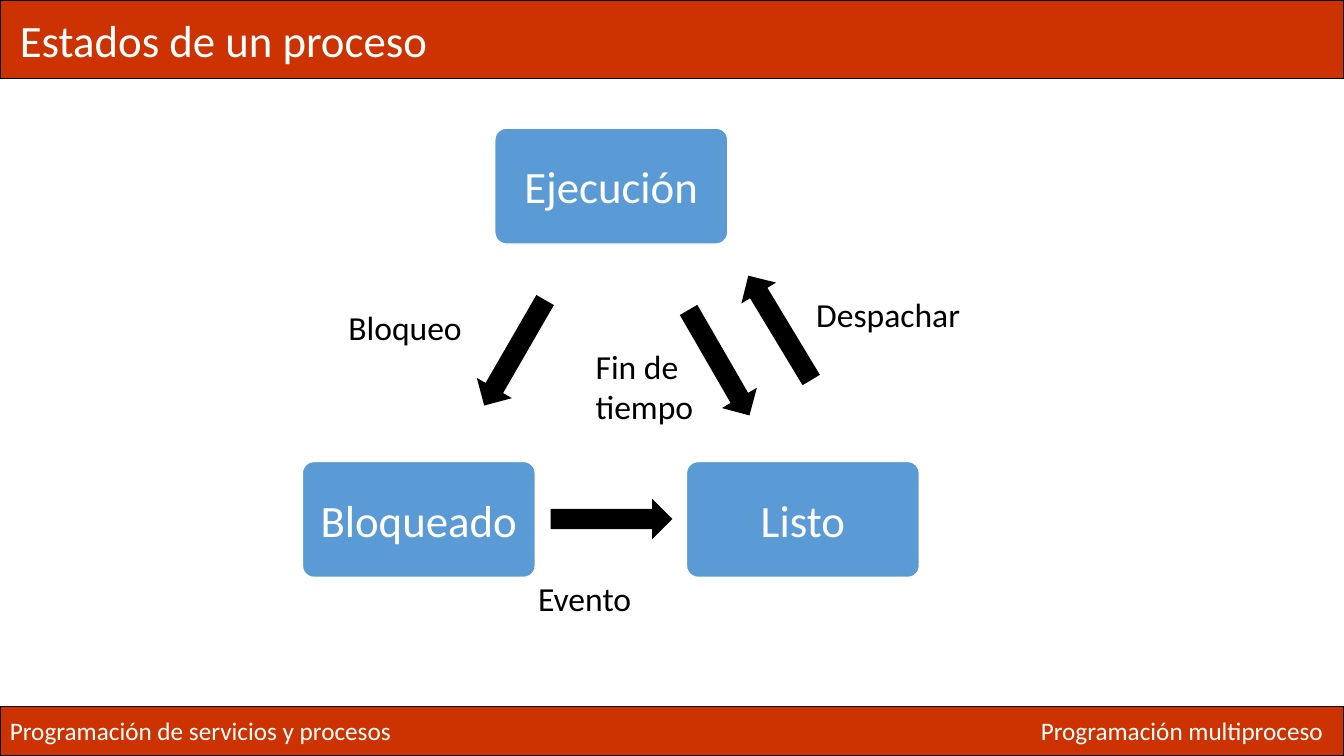
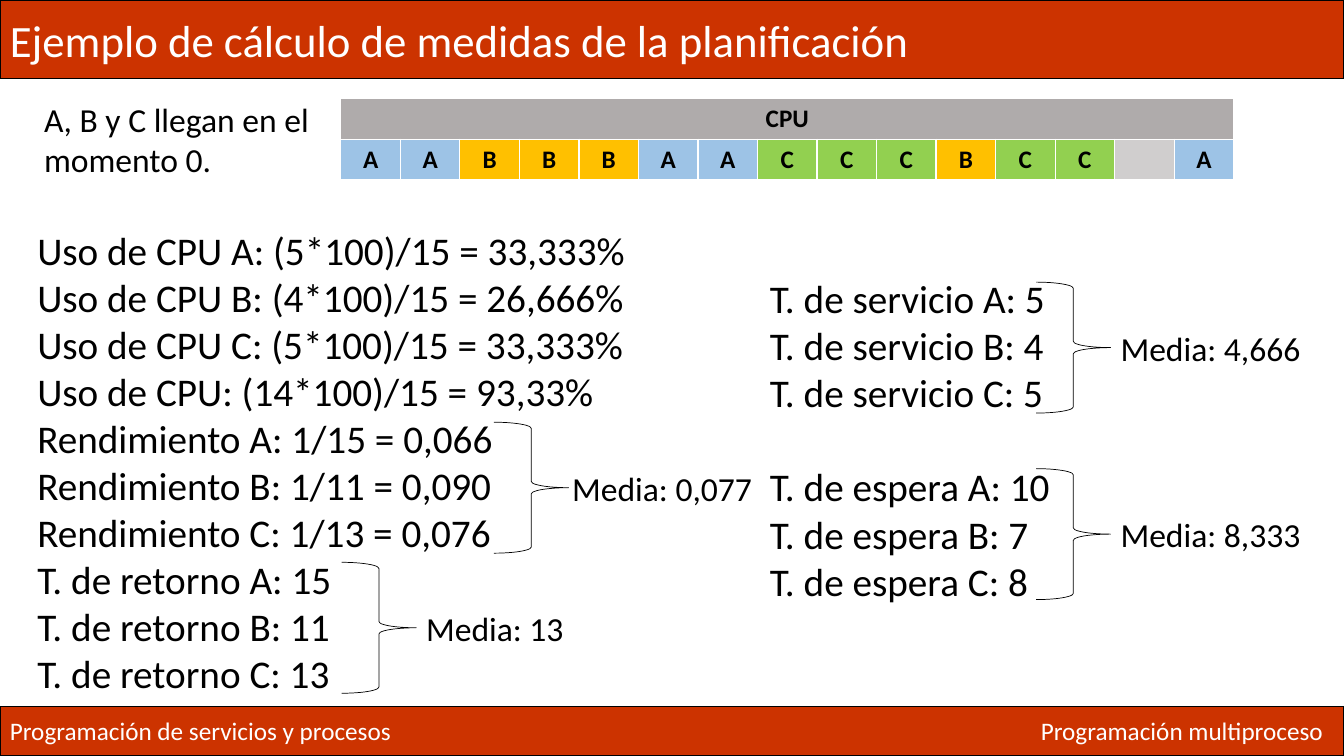
from pptx import Presentation
from pptx.dml.color import RGBColor
from pptx.enum.shapes import MSO_SHAPE as Shape
from pptx.enum.text import MSO_ANCHOR as Anchor, PP_ALIGN as Align
from pptx.util import Cm, Pt

# Shared style
FONT = "Calibri"
RED = RGBColor(0xCC, 0x33, 0x00)
BLUE = RGBColor(0x5B, 0x9B, 0xD5)
BLACK = RGBColor(0x00, 0x00, 0x00)
WHITE = RGBColor(0xFF, 0xFF, 0xFF)
GREY = RGBColor(0xAF, 0xAB, 0xAB)
PROCESS_COLORS = {
    "A": RGBColor(0x9D, 0xC3, 0xE6),
    "B": RGBColor(0xFF, 0xC0, 0x00),
    "C": RGBColor(0x92, 0xD0, 0x50),
    "": RGBColor(0xD0, 0xCE, 0xCE),
}
SLIDE_W, SLIDE_H = 33.87, 19.05
TITLE_H, FOOTER_H = 1.98, 1.24
FOOTERS = [  # text, left, width
    ("Programación de servicios y procesos", 0, 12),
    ("Programación multiproceso", 25.98, 7.87),
]

# Slide 1: state diagram (centimetres)
STATE_W, STATE_H = 5.87, 2.92
STATES = [  # name, left, top
    ("Ejecución", 12.47, 3.23),
    ("Listo", 17.3, 11.63),
    ("Bloqueado", 7.62, 11.63),
]
ARROW_W, ARROW_H = 3.07, 1.02
TRANSITIONS = [  # arrow centre, rotation, label, label left, top, width
    (12.97, 8.89, 120, "Bloqueo", 8.53, 7.62, 4),
    (18.12, 9.14, 60, "Fin de tiempo", 14.76, 8.59, 3.4),
    (15.41, 13.08, 0, "Evento", 13.31, 14.45, 4),
    (19.65, 8.26, 238.9, "Despachar", 20.32, 7.29, 5),
]

# Slide 2: scheduling measures (centimetres)
SCHEDULE = ["A", "A", "B", "B", "B", "A", "A", "C", "C", "C", "B", "C", "C", "", "A"]
SLOT_W, ROW_H = 1.5, 1.02
COLUMNS = [  # left, top, width, height, gap between blocks in points, blocks
    (0.69, 5.57, 19, 12.22, 0, [
        ["Uso de CPU A: (5*100)/15 = 33,333%",
         "Uso de CPU B: (4*100)/15 = 26,666%",
         "Uso de CPU C: (5*100)/15 = 33,333%",
         "Uso de CPU: (14*100)/15 = 93,33%"],
        ["Rendimiento A: 1/15 = 0,066",
         "Rendimiento B: 1/11 = 0,090",
         "Rendimiento C: 1/13 = 0,076"],
        ["T. de retorno A: 15", "T. de retorno B: 11", "T. de retorno C: 13"],
    ]),
    (19.15, 6.78, 14, 8.64, 34, [
        ["T. de servicio A: 5", "T. de servicio B: 4", "T. de servicio C: 5"],
        ["T. de espera A: 10", "T. de espera B: 7", "T. de espera C: 8"],
    ]),
]
BRACE_W, BRACE_H = 1.88, 3.3
MEAN_DROP = 1.02
MEANS = [  # brace left, top, text, text left
    (12.45, 10.64, "Media: 0,077", 14.17),
    (8.61, 14.17, "Media: 13", 10.49),
    (26.11, 7.11, "Media: 4,666", 27.99),
    (26.11, 11.81, "Media: 8,333", 27.99),
]


def style(para, size, color=BLACK, bold=False):
    font = para.font
    font.name, font.size, font.bold = FONT, Pt(size), bold
    font.color.rgb = color


def add_text(slide, lines, left, top, width, height, size, color=BLACK):
    box = slide.shapes.add_textbox(Cm(left), Cm(top), Cm(width), Cm(height))
    frame = box.text_frame
    frame.word_wrap = True
    frame.text = "\n".join(lines)
    for para in frame.paragraphs:
        style(para, size, color)
    return frame


def add_shape(slide, kind, left, top, width, height, fill=None, line=None, weight=1):
    shape = slide.shapes.add_shape(kind, Cm(left), Cm(top), Cm(width), Cm(height))
    shape.shadow.inherit = False
    if fill is None:
        shape.fill.background()
    else:
        shape.fill.solid()
        shape.fill.fore_color.rgb = fill
    if line is None:
        shape.line.fill.background()
    else:
        shape.line.color.rgb = line
        shape.line.width = Pt(weight)
    return shape


def write_in(shape, text, align):
    frame = shape.text_frame
    frame.text = text
    frame.vertical_anchor = Anchor.MIDDLE
    para = frame.paragraphs[0]
    para.alignment = align
    style(para, 32, WHITE)


def add_page(deck, title, title_inset=0.25):
    """Blank slide with the title band and the footer band."""
    page = deck.slides.add_slide(deck.slide_layouts[6])
    band = add_shape(page, Shape.RECTANGLE, 0, 0, SLIDE_W, TITLE_H, RED, BLACK)
    write_in(band, title, Align.LEFT)
    band.text_frame.margin_left = Cm(title_inset)
    footer_top = SLIDE_H - FOOTER_H
    add_shape(page, Shape.RECTANGLE, 0, footer_top, SLIDE_W, FOOTER_H, RED, BLACK)
    for text, left, width in FOOTERS:
        add_text(page, [text], left, footer_top + 0.1, width, 1.02, 18, WHITE)
    return page


def add_states(page):
    for name, left, top in STATES:
        state = add_shape(page, Shape.ROUNDED_RECTANGLE, left, top,
                          STATE_W, STATE_H, BLUE, WHITE)
        state.adjustments[0] = 0.1
        write_in(state, name, Align.CENTER)
    for x, y, angle, label, left, top, width in TRANSITIONS:
        arrow = add_shape(page, Shape.RIGHT_ARROW, x - ARROW_W / 2, y - ARROW_H / 2,
                          ARROW_W, ARROW_H, BLACK)
        arrow.rotation = angle
        add_text(page, [label], left, top, width, 1.27, 24)


def fill_cell(cell, text, color):
    cell.fill.solid()
    cell.fill.fore_color.rgb = color
    cell.text = text
    para = cell.text_frame.paragraphs[0]
    para.alignment = Align.CENTER
    style(para, 18, bold=True)


def add_schedule(page):
    count = len(SCHEDULE)
    table = page.shapes.add_table(2, count, Cm(8.59), Cm(2.49),
                                  Cm(SLOT_W * count), Cm(2 * ROW_H)).table
    for row in table.rows:
        row.height = Cm(ROW_H)
    for column in table.columns:
        column.width = Cm(SLOT_W)
    table.cell(0, 0).merge(table.cell(0, count - 1))
    fill_cell(table.cell(0, 0), "CPU", GREY)
    for slot, process in enumerate(SCHEDULE):
        fill_cell(table.cell(1, slot), process, PROCESS_COLORS[process])


def add_measures(page):
    for left, top, width, height, gap, blocks in COLUMNS:
        lines = [line for block in blocks for line in block]
        frame = add_text(page, lines, left, top, width, height, 28)
        start = 0
        for block in blocks[:-1]:
            start += len(block)
            frame.paragraphs[start].space_before = Pt(gap)
    for left, top, text, text_left in MEANS:
        add_shape(page, Shape.RIGHT_BRACE, left, top, BRACE_W, BRACE_H,
                  line=BLACK, weight=0.5)
        add_text(page, [text], text_left, top + MEAN_DROP, 5.4, 1.27, 24)


def main():
    deck = Presentation()
    deck.slide_width, deck.slide_height = Cm(SLIDE_W), Cm(SLIDE_H)

    # Process states
    add_states(add_page(deck, "Estados de un proceso", title_inset=0.5))

    # Scheduling example
    page = add_page(deck, "Ejemplo de cálculo de medidas de la planificación")
    add_schedule(page)
    add_text(page, ["A, B y C llegan en el momento 0."], 0.86, 2.36, 7.7, 2.31, 24)
    add_measures(page)

    deck.save("out.pptx")


if __name__ == "__main__":
    main()
